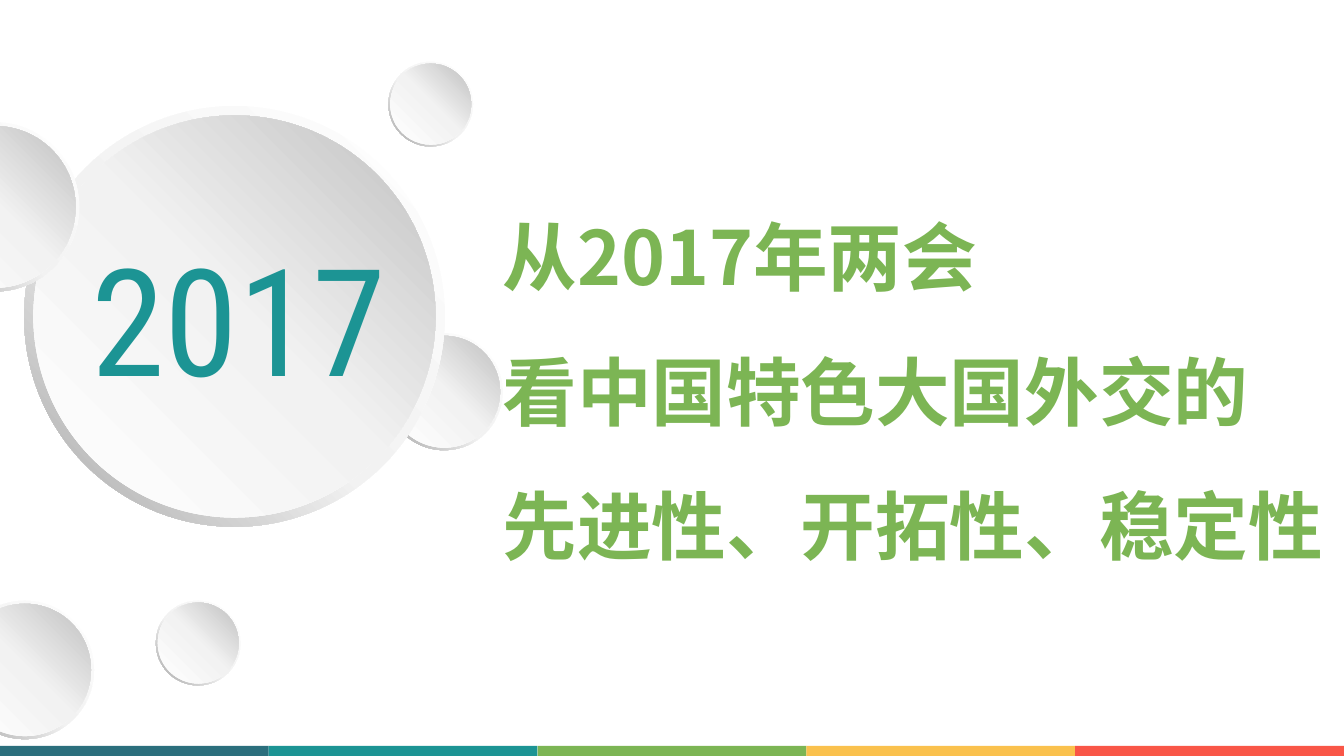
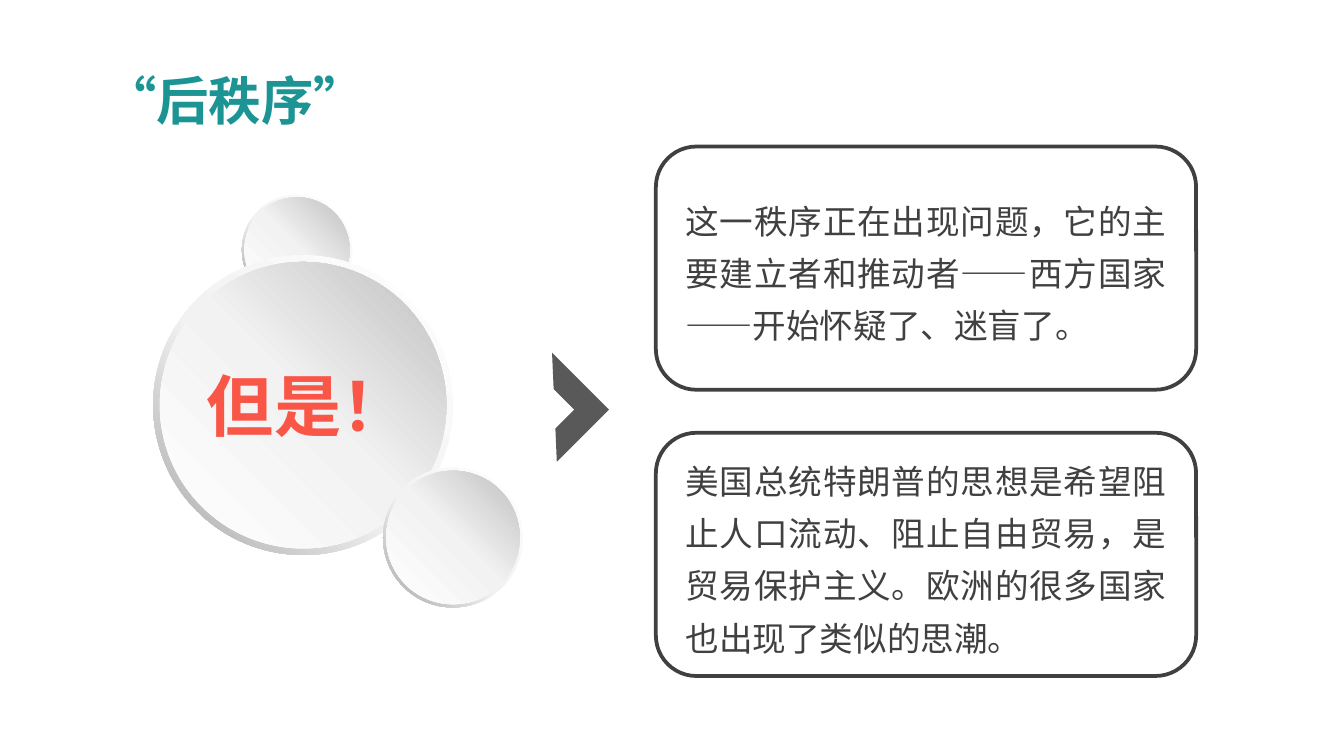
"""Build a cover and a content slide about diplomacy after the 2017 Two Sessions."""
from copy import deepcopy

from lxml import etree
from pptx import Presentation
from pptx.dml.color import RGBColor
from pptx.enum.shapes import MSO_SHAPE
from pptx.enum.text import MSO_AUTO_SIZE, PP_ALIGN
from pptx.oxml.ns import qn
from pptx.util import Inches, Pt

DONUT, DISC, BAR = MSO_SHAPE.DONUT, MSO_SHAPE.OVAL, MSO_SHAPE.RECTANGLE
CARD, CHEVRON = MSO_SHAPE.ROUNDED_RECTANGLE, MSO_SHAPE.HALF_FRAME
JUSTIFY, GROW = PP_ALIGN.JUSTIFY, MSO_AUTO_SIZE.SHAPE_TO_FIT_TEXT

COLORS = {
    "petrol": "2B6F7D", "teal": "1C9494", "green": "7CB554",
    "yellow": "FAC14D", "red": "F95647", "ink": "404040", "arrow": "595959",
    "white": "FFFFFF", "pale": "F2F2F2", "silver": "BFBFBF", "gray": "A6A6A6",
}
STRIPES = ["petrol", "teal", "green", "yellow", "red"]
RIM = [(0, "white"), (0.55, "pale"), (1, "gray")]
FACE = [(0, "white"), (0.51, "pale"), (1, "silver")]
RAINBOW = [(0, "petrol"), (0.44, "green"), (0.74, "yellow"), (0.94, "red")]

CJK = "Noto Sans CJK SC"
FLUSH = dict.fromkeys(["margin_left", "margin_top", "margin_right", "margin_bottom"], 0)
STYLES = {
    "year": {"frame": {}, "paragraph": {},
             "font": {"name": "Roboto Condensed", "size": Pt(80)}, "color": "teal"},
    "cover": {"frame": {}, "paragraph": {"alignment": JUSTIFY, "line_spacing": 1.5},
              "font": {"name": CJK, "size": Pt(40), "bold": True}, "color": RAINBOW},
    "title": {"frame": {"word_wrap": False}, "paragraph": {},
              "font": {"name": CJK, "size": Pt(28), "bold": True}, "color": "teal"},
    "body": {"frame": FLUSH, "paragraph": {"alignment": JUSTIFY, "line_spacing": Pt(28)},
             "font": {"name": CJK, "size": Pt(18)}, "color": "ink"},
    "but": {"frame": FLUSH, "paragraph": {},
            "font": {"name": CJK, "size": Pt(36), "bold": True}, "color": "red"},
}

deck = Presentation()
deck.slide_width = Inches(10)
deck.slide_height = deck.slide_width * 9 // 16
CELL = deck.slide_width // 100
ROWS = 56.25
blank = deck.slide_layouts[6]
cover, order = [deck.slides.add_slide(blank) for _ in range(2)]


def blend(fill, holder, stops, angle):
    """Give a fill a gradient running counter-clockwise from the x axis."""
    fill.gradient()
    fill.gradient_angle = angle
    stop_list = holder.find(qn("a:gradFill")).find(qn("a:gsLst"))
    while len(stop_list) < len(stops):
        stop_list.append(deepcopy(stop_list[0]))
    for stop, (position, color) in zip(fill.gradient_stops, stops):
        stop.position = position
        stop.color.rgb = RGBColor.from_string(COLORS[color])


def write(slide, cells, style, lines):
    """Set lines of text in a box measured in grid cells."""
    look = STYLES[style]
    frame = slide.shapes.add_textbox(*[int(cell * CELL) for cell in cells]).text_frame
    for key, value in {"word_wrap": True, "auto_size": GROW, **look["frame"]}.items():
        setattr(frame, key, value)
    for index, line in enumerate(lines):
        paragraph = frame.add_paragraph() if index else frame.paragraphs[0]
        run = paragraph.add_run()
        run.text = line
        for target, part in ((paragraph, "paragraph"), (run.font, "font")):
            for key, value in look[part].items():
                setattr(target, key, value)
        properties = run._r.get_or_add_rPr()
        if isinstance(look["color"], list):
            blend(run.font.fill, properties, look["color"], 315)
        else:
            run.font.color.rgb = RGBColor.from_string(COLORS[look["color"]])
        east_asian = etree.Element(qn("a:ea"), typeface=look["font"]["name"])
        properties.find(qn("a:latin")).addnext(east_asian)


bubbles = [
    (cover, 28.9, 4.6, 6.3), (cover, 28.7, 24.8, 8.7), (cover, 1.8, 7.9, 31.3),
    (cover, -6.7, 9.1, 12.6), (cover, -3.3, 44.7, 10.3), (cover, 11.6, 44.7, 6.3),
    (order, 18, 14.5, 8.2), (order, 11.4, 19, 22.3), (order, 28.5, 34.8, 10.4),
]
for slide, left, top, size in bubbles:
    rim_width = size * 0.022
    for preset, inset, stops, angle in ((DONUT, 0, RIM, 225), (DISC, rim_width, FACE, 45)):
        diameter = int((size - 2 * inset) * CELL)
        layer = slide.shapes.add_shape(
            preset, int((left + inset) * CELL), int((top + inset) * CELL), diameter, diameter)
        layer.shadow.inherit = False
        layer.line.fill.background()
        blend(layer.fill, layer._element.spPr, stops, angle)
        if preset == DONUT:
            layer.adjustments[0] = 0.049

write(cover, (5.8, 16.4, 26.9, 14.5), "year", ["2017"])
write(cover, (36.4, 11.9, 65.5, 30.1), "cover",
      ["从2017年两会", "看中国特色大国外交的", "先进性、开拓性、稳定性"])

stripe_width, stripe_height = 100 / len(STRIPES), 0.75
for column, color in enumerate(STRIPES):
    stripe = cover.shapes.add_shape(
        BAR, int(column * stripe_width * CELL), int((ROWS - stripe_height) * CELL),
        int(stripe_width * CELL), int(stripe_height * CELL))
    stripe.shadow.inherit = False
    stripe.fill.solid()
    stripe.fill.fore_color.rgb = RGBColor.from_string(COLORS[color])
    stripe.line.fill.background()

write(order, (6.8, 4.6, 21.7, 5.7), "title", ["“后秩序”"])

card_left, card_width, card_height = 48.8, 40.2, 18.1
card_padding = 2.2
arguments = [
    (10.9, 11.8, "这一秩序正在出现问题，它的主要建立者和推动者——西方国家——开始怀疑了、迷盲了。"),
    (32.2, 15.7, "美国总统特朗普的思想是希望阻止人口流动、阻止自由贸易，是贸易保护主义。"
                 "欧洲的很多国家也出现了类似的思潮。"),
]
for top, text_height, argument in arguments:
    card = order.shapes.add_shape(
        CARD, *[int(cell * CELL) for cell in (card_left, top, card_width, card_height)])
    card.shadow.inherit = False
    card.fill.background()
    card.line.color.rgb = RGBColor.from_string(COLORS["ink"])
    card.line.width = Pt(2)
    write(order, (card_left + card_padding, top + (card_height - text_height) / 2,
                  card_width - 2 * card_padding, text_height), "body", [argument])

chevron = order.shapes.add_shape(
    CHEVRON, *[int(cell * CELL) for cell in (38.5, 27.3, 5.5, 6)])
chevron.shadow.inherit = False
chevron.rotation = 135
chevron.fill.solid()
chevron.fill.fore_color.rgb = RGBColor.from_string(COLORS["arrow"])
chevron.line.fill.background()

write(order, (15.4, 27.1, 14.4, 6.1), "but", ["但是！"])

deck.save("out.pptx")
